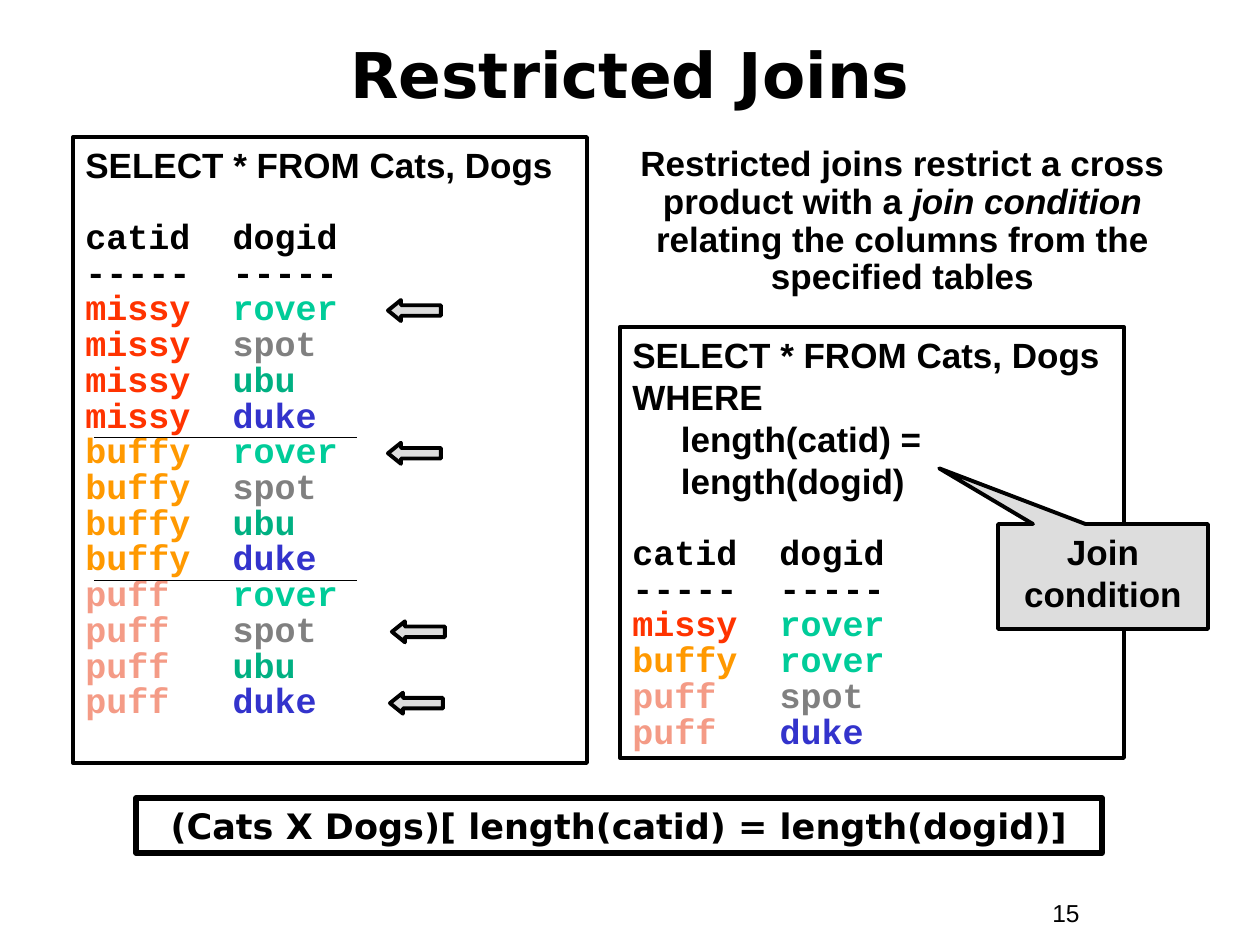
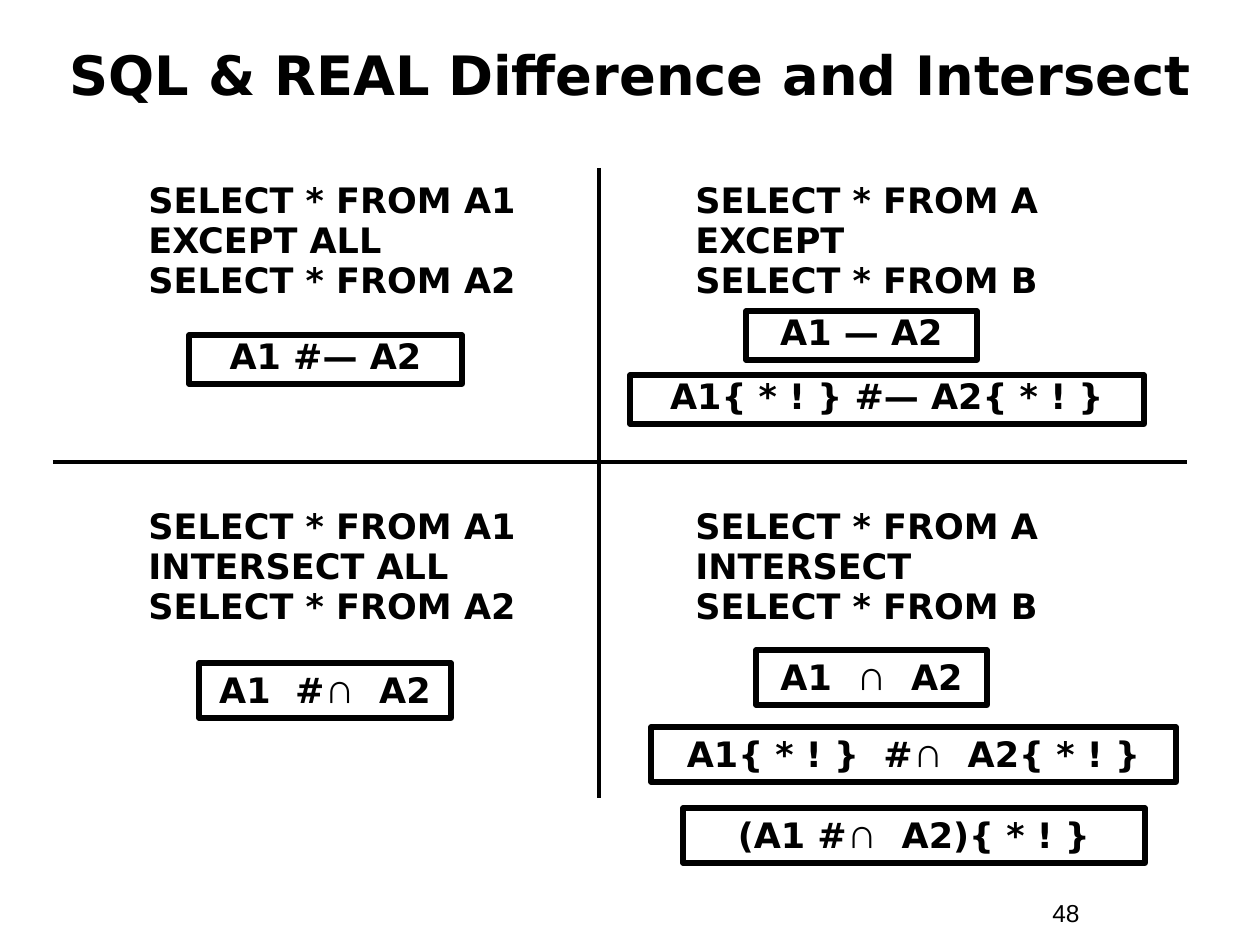
from itertools import product

from lxml import etree
from pptx import Presentation
from pptx.dml.color import RGBColor
from pptx.enum.shapes import MSO_CONNECTOR, MSO_SHAPE
from pptx.enum.text import MSO_ANCHOR, PP_ALIGN
from pptx.oxml.ns import qn
from pptx.util import Pt

PX = 914400 / 126
BLANK = 6
RECTANGLE = MSO_SHAPE.RECTANGLE
LEFT_ARROW = MSO_SHAPE.LEFT_ARROW
CALLOUT = MSO_SHAPE.RECTANGULAR_CALLOUT
STRAIGHT = MSO_CONNECTOR.STRAIGHT
LEFT, CENTER = PP_ALIGN.LEFT, PP_ALIGN.CENTER
TOP, MIDDLE = MSO_ANCHOR.TOP, MSO_ANCHOR.MIDDLE

SANS, MONO, DISPLAY = "Arial", "Courier New", "DejaVu Sans"
COLORS = {
    "ink": "000000",
    "marker": "DDDDDD",
    "missy": "FF3300",
    "buffy": "FF9900",
    "puff": "F49B86",
    "rover": "00CC99",
    "spot": "808080",
    "ubu": "00B082",
    "duke": "3333CC",
}
CATS = ("missy", "buffy", "puff")
DOGS = ("rover", "spot", "ubu", "duke")
MATCHES = [("missy", "rover"), ("buffy", "rover"), ("puff", "spot"), ("puff", "duke")]
ROW_PITCH = 35.7
FIRST_ROW = 158
TIGHT = 0.85


def emu(*lengths):
    return [round(length * PX) for length in lengths]


def rgb(name):
    return RGBColor.from_string(COLORS[name])


def add_paragraph(frame, runs, first=False, font=SANS, size=20, bold=True,
                  align=LEFT, spacing=1.0, before=0):
    paragraph = frame.paragraphs[0] if first else frame.add_paragraph()
    paragraph.alignment = align
    paragraph.line_spacing = spacing
    paragraph.space_before = Pt(before)
    for words, style in [(runs, {})] if isinstance(runs, str) else runs:
        run = paragraph.add_run()
        run.text = words
        run.font.name = style.get("font", font)
        run.font.size = Pt(style.get("size", size))
        run.font.bold = bold
        run.font.italic = style.get("italic", False)
        run.font.color.rgb = rgb(style.get("color", "ink"))


def write(holder, lines, anchor=TOP, **style):
    frame = holder.text_frame
    frame.word_wrap = True
    frame.vertical_anchor = anchor
    before = style.pop("before", 0)
    for index, line in enumerate(lines):
        add_paragraph(frame, line, first=index == 0,
                      before=before if index else 0, **style)
    return frame


def add_text(slide, box, lines, **style):
    return write(slide.shapes.add_textbox(*emu(*box)), lines, **style)


def add_outline(slide, box, kind=RECTANGLE, fill=None, width=2.25):
    outline = slide.shapes.add_shape(kind, *emu(*box))
    outline.shadow.inherit = False
    if fill:
        outline.fill.solid()
        outline.fill.fore_color.rgb = rgb(fill)
    else:
        outline.fill.background()
    outline.line.color.rgb = rgb("ink")
    outline.line.width = Pt(width)
    return outline


def add_rule(slide, start, end, width):
    rule = slide.shapes.add_connector(STRAIGHT, *emu(*start, *end))
    rule.line.color.rgb = rgb("ink")
    rule.line.width = Pt(width)
    properties = rule._element.find(qn("p:spPr"))
    etree.SubElement(properties, qn("a:effectLst"))


def add_formula(slide, box, formula, **style):
    runs = []
    for index, part in enumerate(formula.split("∩")):
        if index:
            runs.append(("∩", {"font": SANS, "size": 24}))
        runs.append((part, {}))
    write(add_outline(slide, box, width=3), [runs],
          font=DISPLAY, align=CENTER, **style)


def start_slide(deck, title, number, height, **style):
    slide = deck.slides.add_slide(deck.slide_layouts[BLANK])
    add_text(slide, (1040, 892, 116, 43), [number], size=14, bold=False)
    add_text(slide, (42, 21, 1176, height), [title], anchor=MIDDLE,
             font=DISPLAY, align=CENTER, **style)
    return slide


def query_result(slide, box, query, pairs):
    frame = write(add_outline(slide, box), query)
    table = {"font": MONO, "spacing": TIGHT}
    add_paragraph(frame, "catid  dogid", before=20.4, **table)
    add_paragraph(frame, "-----  -----", **table)
    for cat, dog in pairs:
        add_paragraph(frame, [(cat.ljust(7), {"color": cat}),
                              (dog, {"color": dog})], **table)


def cross_product(slide, box):
    left, top = box[:2]
    pairs = list(product(CATS, DOGS))
    query_result(slide, box, ["SELECT * FROM Cats, Dogs"], pairs)
    rows_top = top + FIRST_ROW
    for pair, indent in zip(MATCHES, (315, 315, 319, 317)):
        arrow_top = rows_top + 5 + pairs.index(pair) * ROW_PITCH
        arrow = add_outline(slide, (left + indent, arrow_top, 53, 21),
                            kind=LEFT_ARROW, fill="marker")
        arrow.adjustments[0] = 0.5
        arrow.adjustments[1] = 0.62
    for group in range(1, len(CATS)):
        y = rows_top + 142 + (group - 1) * len(DOGS) * ROW_PITCH
        add_rule(slide, (left + 21, y), (left + 284, y), 0.25)


def restricted_join(slide, box):
    left, top = box[:2]
    query_result(slide, box, [
        "SELECT * FROM Cats, Dogs",
        "WHERE",
        "     length(catid) =",
        "     length(dogid)",
    ], MATCHES)
    callout = add_outline(slide, (left + 378, top + 197, 210, 105),
                          kind=CALLOUT, fill="marker")
    callout.adjustments[0] = -0.78
    callout.adjustments[1] = -1.03
    write(callout, ["Join condition"], align=CENTER)


def restricted_joins_slide(deck):
    slide = start_slide(deck, "Restricted Joins", "15", 105, size=36)
    cross_product(slide, (73, 137, 514, 626))
    add_text(slide, (598, 140, 609, 164), [[
        ("Restricted joins restrict a cross product with a ", {}),
        ("join condition", {"italic": True}),
        (" relating the columns from the specified tables", {}),
    ]], align=CENTER, spacing=0.9)
    restricted_join(slide, (620, 327, 504, 431))
    add_formula(slide, (136, 798, 966, 55),
                "(Cats X Dogs)[ length(catid) = length(dogid)]")


def quadrant(slide, left, top, query, formulas):
    add_text(slide, (left, top, 399, 129), query,
             font=DISPLAY, spacing=TIGHT, before=2.5)
    for formula, x, y, width in formulas:
        height = 55 if "∩" in formula else 49
        add_formula(slide, (left + x, top + y, width, height),
                    formula, spacing=TIGHT)


def difference_intersect_slide(deck):
    slide = start_slide(deck, "SQL & REAL Difference and Intersect", "48", 116,
                        size=31, spacing=TIGHT)
    add_rule(slide, (599, 168), (599, 798), 2.25)
    add_rule(slide, (53, 462), (1187, 462), 2.25)
    columns = ((136, "A1", "A2", " ALL"), (683, "A", "B", ""))
    rows = ((179, "EXCEPT"), (505, "INTERSECT"))
    formulas = {
        "EXCEPT ALL": [("A1 #— A2", 53, 156, 273)],
        "EXCEPT": [("A1 — A2", 63, 132, 231),
                   ("A1{ * ! } #— A2{ * ! }", -53, 196, 514)],
        "INTERSECT ALL": [("A1  #∩  A2", 63, 158, 252)],
        "INTERSECT": [("A1  ∩  A2", 73, 145, 231),
                      ("A1{ * ! }  #∩  A2{ * ! }", -32, 222, 525),
                      ("(A1 #∩  A2){ * ! }", 0, 303, 462)],
    }
    for (top, keyword), (left, first, second, suffix) in product(rows, columns):
        operator = keyword + suffix
        query = [f"SELECT * FROM {first}", operator, f"SELECT * FROM {second}"]
        quadrant(slide, left, top, query, formulas[operator])


def main():
    deck = Presentation()
    deck.slide_width, deck.slide_height = emu(1260, 945)
    restricted_joins_slide(deck)
    difference_intersect_slide(deck)
    deck.save("out.pptx")


if __name__ == "__main__":
    main()
